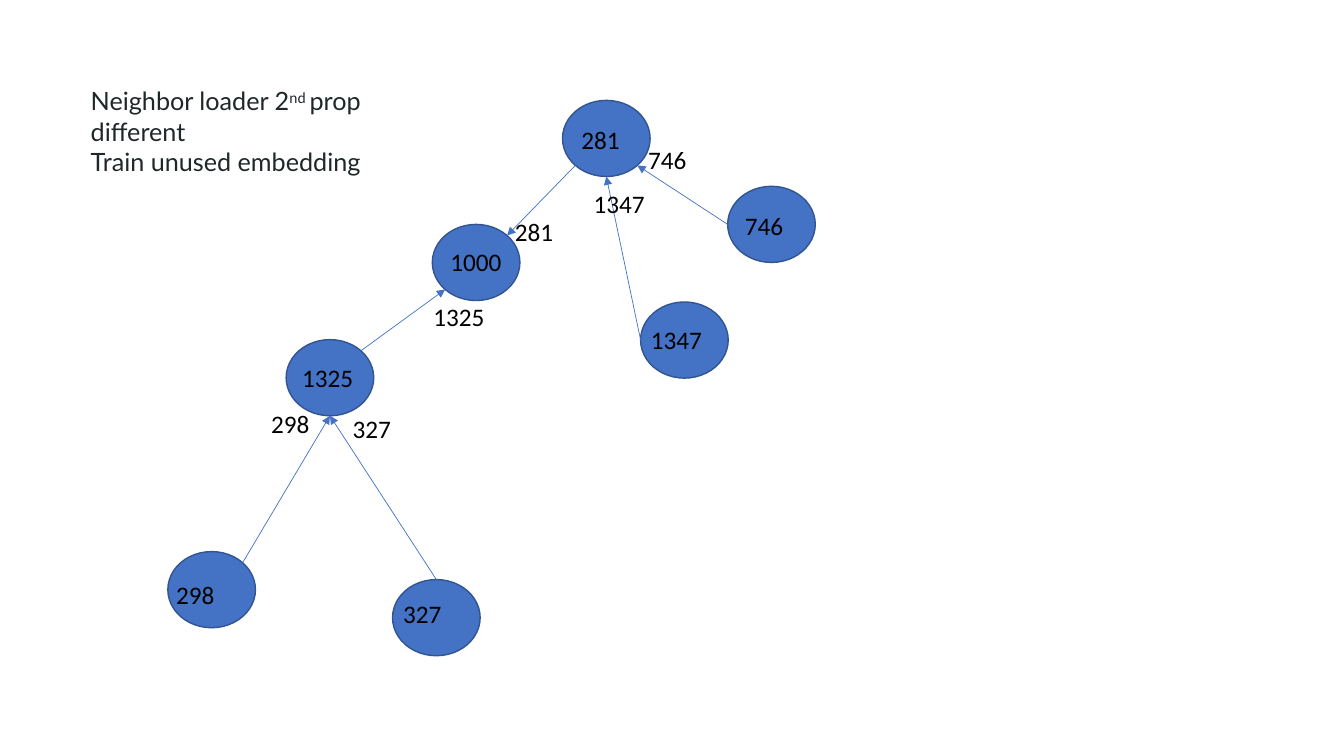
"""Build a slide with a neighbour-sampling graph of labelled nodes and arrows."""
from dataclasses import dataclass
from math import cos, radians, sin

from lxml import etree
from pptx import Presentation
from pptx.dml.color import RGBColor
from pptx.enum.shapes import MSO_CONNECTOR, MSO_SHAPE
from pptx.enum.text import MSO_ANCHOR, MSO_AUTO_SIZE, PP_ALIGN
from pptx.oxml.ns import qn
from pptx.slide import Slide
from pptx.text.text import Font
from pptx.util import Pt

OVAL = MSO_SHAPE.OVAL
STRAIGHT = MSO_CONNECTOR.STRAIGHT
TOP = MSO_ANCHOR.TOP
LEFT = PP_ALIGN.LEFT
NO_AUTOSIZE = MSO_AUTO_SIZE.NONE
FIT_SHAPE = MSO_AUTO_SIZE.SHAPE_TO_FIT_TEXT

TITLE_ONLY = 5
NODE_WIDTH, NODE_HEIGHT = 62.6, 54.4
LABEL_WIDTH, LABEL_HEIGHT = 71.3, 29
TEXT_SIZE = 18
BLUE, DARK_BLUE, BLACK, CHARCOAL = "4472C4", "325491", "000000", "202729"
EAST, SOUTH_EAST, SOUTH, SOUTH_WEST, WEST, _, NORTH, NORTH_EAST = range(0, 360, 45)


@dataclass(frozen=True)
class Node:
    left: float
    top: float
    label_left: float
    label_top: float

    def rim(self, angle: int) -> tuple[float, float]:
        return (
            self.left + NODE_WIDTH / 2 * (1 + cos(radians(angle))),
            self.top + NODE_HEIGHT / 2 * (1 + sin(radians(angle))),
        )


@dataclass(frozen=True)
class Edge:
    source: str
    source_side: int
    target: str
    target_side: int
    label_left: float
    label_top: float


NODES = {
    "746": Node(519.8, 133.1, 524.9, 146.9),
    "281": Node(401.8, 71.7, 408.2, 85),
    "1347": Node(457.6, 215.7, 457.9, 228.2),
    "1000": Node(308.8, 160.3, 314.6, 172.1),
    "1325": Node(204.4, 242.6, 208.8, 254.9),
    "298": Node(119.9, 394, 118.8, 410.4),
    "327": Node(280.4, 414, 280.8, 424.1),
}
EDGES = [
    Edge("298", NORTH_EAST, "1325", SOUTH, 186.5, 288),
    Edge("327", NORTH, "1325", SOUTH, 244.8, 291.6),
    Edge("1325", NORTH_EAST, "1000", SOUTH_WEST, 302.4, 211.7),
    Edge("1347", WEST, "281", SOUTH, 416.9, 131),
    Edge("746", WEST, "281", SOUTH_EAST, 455.8, 99.4),
    Edge("281", SOUTH_WEST, "1000", NORTH_EAST, 360.7, 151.2),
]


def color(value: str) -> RGBColor:
    return RGBColor.from_string(value)


def style_font(font: Font, name: str, value: str) -> None:
    font.name = name
    font.size = Pt(TEXT_SIZE)
    font.color.rgb = color(value)


def add_title(page: Slide) -> None:
    title = page.shapes.title
    title.left, title.top, title.width, title.height = Pt(57.6), Pt(57.6), Pt(218.2), Pt(72.7)
    frame = title.text_frame
    frame.word_wrap = True
    frame.auto_size = NO_AUTOSIZE
    frame.vertical_anchor = TOP
    frame.text = "\n".join(["Neighbor loader 2", "different", "Train unused embedding"])
    for para in frame.paragraphs:
        para.alignment = LEFT
        style_font(para.font, "Lato", CHARCOAL)
    first = frame.paragraphs[0]
    raised = first.add_run()
    raised.text = "nd "
    raised._r.get_or_add_rPr().set("baseline", "30000")
    first.add_run().text = "prop"


def add_node(page: Slide, node: Node) -> None:
    oval = page.shapes.add_shape(
        OVAL, Pt(node.left), Pt(node.top), Pt(NODE_WIDTH), Pt(NODE_HEIGHT)
    )
    oval.shadow.inherit = False
    oval.fill.solid()
    oval.fill.fore_color.rgb = color(BLUE)
    oval.line.color.rgb = color(DARK_BLUE)
    oval.line.width = Pt(1)


def add_arrow(page: Slide, edge: Edge) -> None:
    start = NODES[edge.source].rim(edge.source_side)
    end = NODES[edge.target].rim(edge.target_side)
    arrow = page.shapes.add_connector(STRAIGHT, *[Pt(value) for value in start + end])
    arrow.line.color.rgb = color(BLUE)
    arrow.line.width = Pt(0.5)
    etree.SubElement(arrow.line._get_or_add_ln(), qn("a:tailEnd"), type="triangle")
    etree.SubElement(arrow._element.spPr, qn("a:effectLst"))


def add_label(page: Slide, text: str, left: float, top: float) -> None:
    box = page.shapes.add_textbox(Pt(left), Pt(top), Pt(LABEL_WIDTH), Pt(LABEL_HEIGHT))
    frame = box.text_frame
    frame.word_wrap = True
    frame.auto_size = FIT_SHAPE
    frame.text = text
    style_font(frame.paragraphs[0].font, "Calibri", BLACK)


def main() -> None:
    deck = Presentation()
    deck.slide_width, deck.slide_height = Pt(960), Pt(540)
    page = deck.slides.add_slide(deck.slide_layouts[TITLE_ONLY])
    add_title(page)
    for node in NODES.values():
        add_node(page, node)
    for edge in EDGES:
        add_arrow(page, edge)
    for name, node in NODES.items():
        add_label(page, name, node.label_left, node.label_top)
    for edge in EDGES:
        add_label(page, edge.source, edge.label_left, edge.label_top)
    deck.save("out.pptx")


if __name__ == "__main__":
    main()
